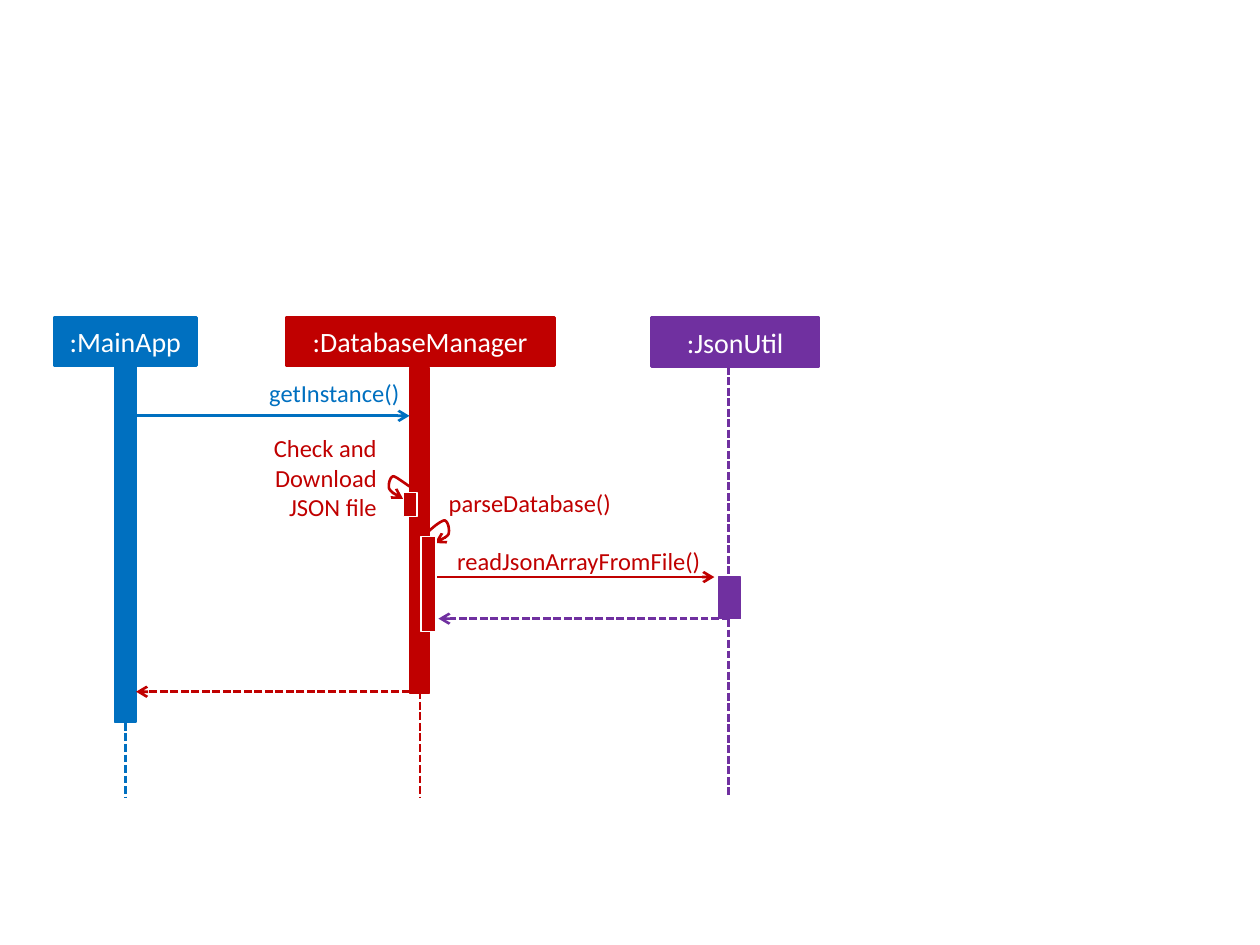
from lxml import etree
from pptx import Presentation
from pptx.dml.color import RGBColor
from pptx.enum import dml, shapes, text
from pptx.oxml import ns
from pptx.util import Inches, Pt

BLUE = RGBColor(0x00, 0x70, 0xC0)
RED = RGBColor(0xC0, 0x00, 0x00)
PURPLE = RGBColor(0x70, 0x30, 0xA0)
WHITE = RGBColor(0xFF, 0xFF, 0xFF)
LIFELINE_END = 6.33
CURVE_STEPS = 8


def write_text(box, wording, *, size, color, align, anchor=text.MSO_ANCHOR.TOP):
    """Put one formatted paragraph into a shape."""
    frame = box.text_frame
    frame.word_wrap = True
    frame.vertical_anchor = anchor
    para = frame.paragraphs[0]
    para.alignment = align
    span = para.add_run()
    span.text = wording
    span.font.name = "Calibri"
    span.font.size = Pt(size)
    span.font.color.rgb = color


def add_bar(canvas, bounds, fill, outline, weight):
    """Add a filled, outlined rectangle."""
    bar = canvas.add_shape(shapes.MSO_SHAPE.RECTANGLE, *map(Inches, bounds))
    bar.shadow.inherit = False
    bar.fill.solid()
    bar.fill.fore_color.rgb = fill
    bar.line.color.rgb = outline
    bar.line.width = Pt(weight)
    return bar


def add_header(page, name, bounds, color):
    """Add the named box at the top of a participant."""
    header = add_bar(page.shapes, bounds, color, color, 1.5)
    write_text(header, name, size=16, color=WHITE, align=text.PP_ALIGN.CENTER,
               anchor=text.MSO_ANCHOR.MIDDLE)
    return header


def add_label(page, wording, bounds, color):
    """Add a right-aligned message label without margins."""
    label = page.shapes.add_textbox(*map(Inches, bounds))
    frame = label.text_frame
    frame.margin_left = frame.margin_right = frame.margin_top = frame.margin_bottom = 0
    write_text(label, wording, size=14, color=color, align=text.PP_ALIGN.RIGHT)
    frame.auto_size = text.MSO_AUTO_SIZE.SHAPE_TO_FIT_TEXT


def add_arrowhead(line):
    """Give a line an open arrowhead at its end."""
    outline = line.line._get_or_add_ln()
    etree.SubElement(outline, ns.qn("a:tailEnd"), type="arrow")


def add_line(page, start, end, color, *, dashed=False, arrow=False):
    """Add a straight line, optionally dashed or with an arrowhead."""
    line = page.shapes.add_connector(
        shapes.MSO_CONNECTOR.STRAIGHT, *map(Inches, (*start, *end)))
    line.line.color.rgb = color
    line.line.width = Pt(1.5)
    if dashed:
        line.line.dash_style = dml.MSO_LINE.SQUARE_DOT
    if arrow:
        add_arrowhead(line)
    etree.SubElement(line._element.spPr, ns.qn("a:effectLst"))
    return line


def curve_points(knots):
    """Return points along a chain of cubic curves."""
    points = [knots[0]]
    for first in range(0, len(knots) - 1, 3):
        controls = knots[first:first + 4]
        for step in range(1, CURVE_STEPS + 1):
            t = step / CURVE_STEPS
            weights = ((1 - t) ** 3, 3 * t * (1 - t) ** 2, 3 * t * t * (1 - t), t ** 3)
            points.append(tuple(
                sum(weight * knot[axis] for weight, knot in zip(weights, controls))
                for axis in (0, 1)))
    return points


def add_self_call(page, knots, bounds):
    """Add a grouped loop arrow and the activation that it starts."""
    group = page.shapes.add_group_shape()
    points = [tuple(map(Inches, point)) for point in curve_points(knots)]
    builder = group.shapes.build_freeform(*points[0])
    builder.add_line_segments(points[1:], close=False)
    loop = builder.convert_to_shape()
    loop.shadow.inherit = False
    loop.fill.background()
    loop.line.color.rgb = RED
    loop.line.width = Pt(1.5)
    add_arrowhead(loop)
    add_bar(group.shapes, bounds, RED, WHITE, 0.75)


def add_participant(page, name, color, header_bounds, bar_bounds, lifeline=None):
    """Add a header, its lifeline and its activation, and return the activation."""
    header = add_header(page, name, header_bounds, color)
    left, top, width, height = header_bounds
    x = lifeline or left + width / 2
    line = add_line(page, (x, top + height), (x, LIFELINE_END), color, dashed=True)
    if lifeline is None:
        line.begin_connect(header, 2)
    return add_bar(page.shapes, bar_bounds, color, color, 0.75)


def main():
    """Build the sequence diagram slide."""
    deck = Presentation()
    deck.slide_width, deck.slide_height = Inches(10), Inches(7.5)
    page = deck.slides.add_slide(deck.slide_layouts[6])

    add_participant(page, ":DatabaseManager", RED,
                    (2.27, 2.52, 2.13, 0.38), (3.25, 2.92, 0.16, 2.58))
    json_bar = add_participant(page, ":JsonUtil", PURPLE, (5.17, 2.52, 1.33, 0.39),
                               (5.7, 4.58, 0.18, 0.33), lifeline=5.78)
    add_participant(page, ":MainApp", BLUE,
                    (0.43, 2.52, 1.13, 0.38), (0.91, 2.89, 0.17, 2.84))

    add_line(page, (1.08, 3.3), (3.25, 3.3), BLUE, arrow=True)
    add_line(page, (3.42, 4.58), (5.67, 4.58), RED, arrow=True)
    json_return = add_line(page, (5.79, 4.91), (3.48, 4.91), PURPLE, dashed=True, arrow=True)
    json_return.begin_connect(json_bar, 2)
    add_line(page, (3.25, 5.49), (1.08, 5.49), RED, dashed=True, arrow=True)

    add_self_call(page, [(3.25, 3.86), (3.19, 3.82), (3.14, 3.78), (3.12, 3.78),
                         (3.09, 3.79), (3.08, 3.86), (3.09, 3.88),
                         (3.11, 3.91), (3.15, 3.94), (3.2, 3.96)],
                  (3.2, 3.91, 0.11, 0.19))
    add_self_call(page, [(3.4, 4.22), (3.45, 4.17), (3.51, 4.13), (3.53, 4.13),
                         (3.56, 4.14), (3.57, 4.21), (3.56, 4.24),
                         (3.54, 4.27), (3.49, 4.29), (3.45, 4.31)],
                  (3.34, 4.26, 0.12, 0.75))

    for wording, bounds, color in (
        ("getInstance()", (1.61, 3, 1.56, 0.24), BLUE),
        ("Check and Download JSON file", (2.12, 3.44, 0.87, 0.71), RED),
        ("parseDatabase()", (3.42, 3.87, 1.43, 0.24), RED),
        ("readJsonArrayFromFile()", (3.45, 4.33, 2.11, 0.24), RED),
    ):
        add_label(page, wording, bounds, color)

    deck.save("out.pptx")


if __name__ == "__main__":
    main()
